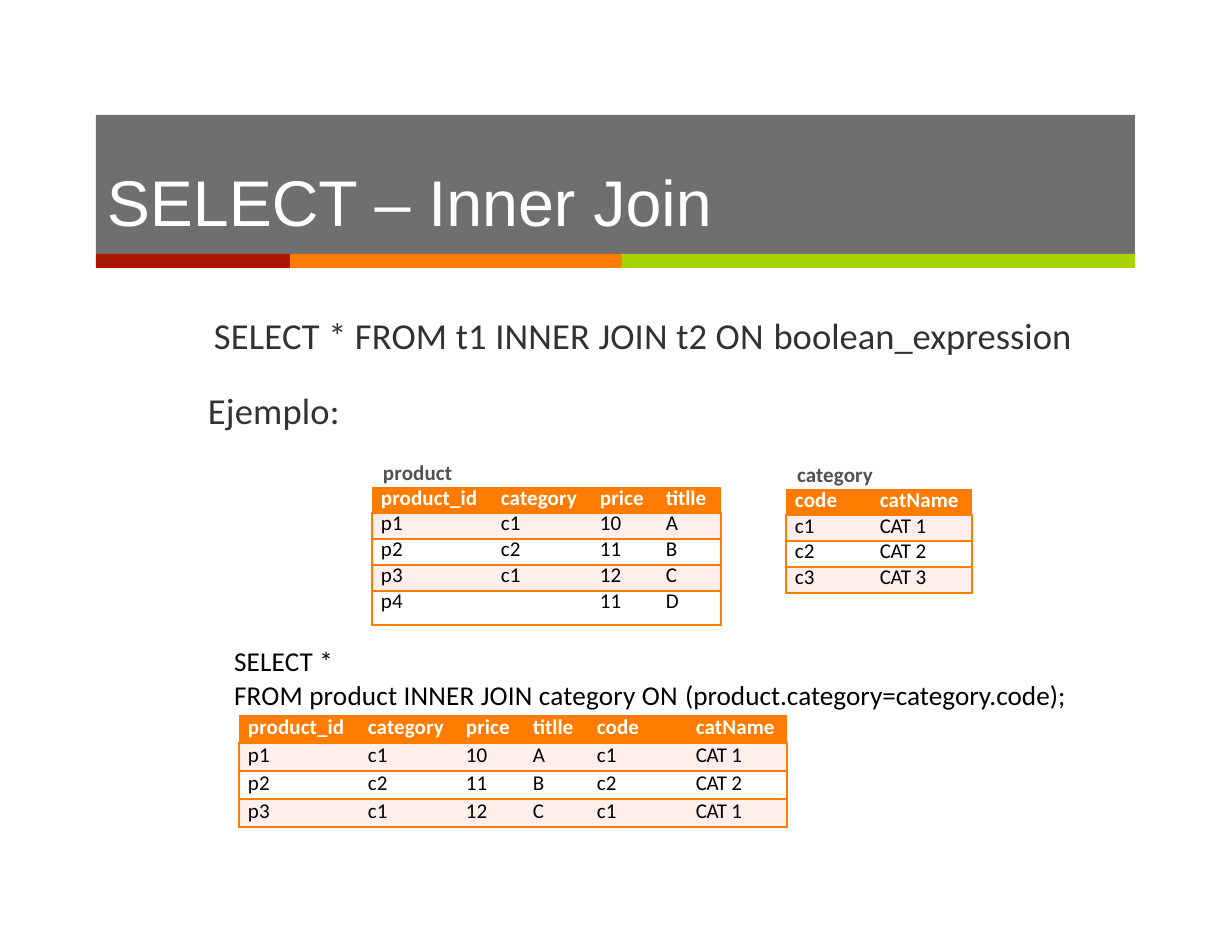
import pptx
import pptx.util
import pptx.dml.color
import pptx.enum.shapes
import pptx.enum.text
import pptx.oxml.ns
import lxml.etree

DPI = 112
ORANGE, PINK, WHITE, BLACK, DARK = "FF7C00", "FFEFEC", "FFFFFF", "000000", "323232"
qn = pptx.oxml.ns.qn


def px(n):
    return pptx.util.Emu(round(n * 914400 / DPI))


def tint(hue):
    return pptx.dml.color.RGBColor.from_string(hue)


def paint(fill, hue):
    fill.solid()
    fill.fore_color.rgb = tint(hue)


def place(shape, box):
    shape.left, shape.top, shape.width, shape.height = map(px, box)


def write(para, runs, size, hue, bold=False, font="Calibri", left=0, gap=0, line=1.0):
    """Fill one paragraph; runs are (text, spacing in 1/100 pt)."""
    para.alignment = pptx.enum.text.PP_ALIGN.LEFT
    para.space_before = pptx.util.Pt(gap)
    para.line_spacing = line
    props = para._p.get_or_add_pPr()
    props.set("marL", str(px(left)))
    props.set("indent", "0")
    lxml.etree.SubElement(props, qn("a:buNone"))
    for text, track in runs:
        run = para.add_run()
        run.text = text
        run.font.size = pptx.util.Pt(size)
        run.font.name = font
        run.font.bold = bold
        run.font.color.rgb = tint(hue)
        run._r.get_or_add_rPr().set("spc", str(track))


def frame(shape, top):
    text = shape.text_frame
    text.word_wrap = True
    text.auto_size = pptx.enum.text.MSO_AUTO_SIZE.NONE
    text.vertical_anchor = pptx.enum.text.MSO_ANCHOR.TOP
    text.margin_left = text.margin_right = text.margin_bottom = 0
    text.margin_top = px(top)
    return text


def label(slide, box, lines, **style):
    """Text box; lines are (runs, gap before)."""
    text = frame(slide.shapes.add_textbox(*map(px, box)), 2)
    for i, (runs, gap) in enumerate(lines):
        para = text.add_paragraph() if i else text.paragraphs[0]
        write(para, runs, gap=gap, left=1, **style)


def banner(slide, box):
    x, y, w, h = box
    # Stripe under the title
    left = x
    for wide, hue in ((194, "AB1700"), (332, ORANGE), (w - 526, "A8D200")):
        bar = slide.shapes.add_shape(pptx.enum.shapes.MSO_SHAPE.RECTANGLE,
                                     px(left), px(y + h), px(wide), px(14))
        bar.shadow.inherit = False
        paint(bar.fill, hue)
        bar.line.fill.background()
        left += wide
    # Title on a translucent band
    title = slide.shapes.title
    place(title, box)
    paint(title.fill, DARK)
    shade = title._element.spPr.find(".//" + qn("a:srgbClr"))
    lxml.etree.SubElement(shade, qn("a:alpha")).set("val", "70000")
    write(frame(title, 47).paragraphs[0], [("SELECT – Inner Join", 0)],
          41.5, WHITE, font="Arial", left=11)


def syntax(slide, box):
    body = slide.placeholders[1]
    place(body, box)
    text = frame(body, 2)
    write(text.paragraphs[0], [("SELECT * FROM t1 INNER JOIN t2 ON ", 10),
                               ("boolean_expression", 0)], 23.5, DARK, left=7, gap=1.2)
    write(text.add_paragraph(), [("Ejemplo:", 10)], 23.5, DARK, left=1, gap=20.3)


def edge(cell, sides):
    """Rule the named sides in orange and clear the others."""
    props = cell._tc.get_or_add_tcPr()
    for side in "LRTB":
        line = lxml.etree.SubElement(props, qn("a:ln" + side))
        if side in sides:
            line.set("w", "12700")
            solid = lxml.etree.SubElement(line, qn("a:solidFill"))
            lxml.etree.SubElement(solid, qn("a:srgbClr")).set("val", ORANGE)
        else:
            lxml.etree.SubElement(line, qn("a:noFill"))


def grid(slide, spot, cols, high, rows, last=11, line=1.0):
    """Table at spot; last is the indent of the final column."""
    x, y = spot
    table = slide.shapes.add_table(len(rows), len(cols), px(x), px(y),
                                   px(sum(cols)), px(high * len(rows))).table
    table.horz_banding = False
    end = len(cols) - 1
    for c, wide in enumerate(cols):
        table.columns[c].width = px(wide)
    for r, row in enumerate(rows):
        table.rows[r].height = px(high)
        for c, value in enumerate(row):
            cell = table.cell(r, c)
            cell.margin_left = cell.margin_right = 0
            cell.margin_top = cell.margin_bottom = 0
            sides = "TB" + "L" * (c == 0) + "R" * (c == end) if r else "B"
            edge(cell, sides)
            if r % 2 or r == 0:
                paint(cell.fill, PINK if r else ORANGE)
            else:
                cell.fill.background()
            if value.startswith("CAT "):
                runs = [("CAT ", -20), (value[4:], 10)]
            else:
                runs = [(value, 0 if c == 3 else 10)] if value else []
            left = 9 if c == 0 else last if c == end else 11
            write(cell.text_frame.paragraphs[0], runs, 13.5, BLACK if r else WHITE,
                  bold=r == 0, left=left, gap=0.3, line=line)


def sample(slide, spot):
    """Two source tables, the query, and the joined result."""
    x, y = spot
    goods = [("product_id", "category", "price", "titlle"),
             ("p1", "c1", "10", "A"), ("p2", "c2", "11", "B"),
             ("p3", "c1", "12", "C"), ("p4", "", "11", "D")]
    kinds = [("code", "catName"), ("c1", "CAT 1"), ("c2", "CAT 2"), ("c3", "CAT 3")]
    join = [goods[0] + kinds[0]]
    join += [g + k for g in goods[1:] for k in kinds[1:] if g[1] == k[0]]

    tight = pptx.util.Pt(15.2)
    grid(slide, (x + 139, y + 29), (118, 99, 66, 66), 26, goods, line=tight)
    grid(slide, (x + 553, y + 31), (73, 113), 26, kinds, last=21, line=tight)
    grid(slide, (x + 6, y + 257), (118, 98, 67, 64, 82, 119), 28, join, last=28)

    # Table names
    name = dict(size=13.5, hue="515151", bold=True)
    label(slide, (x + 149, y, 73, 29),
          [([("p", 10), ("r", -10), ("oduct", 10)], 1.4)], **name)
    label(slide, (x + 563, y + 2, 81, 29), [([("category", 10)], 1.4)], **name)
    # Query
    label(slide, (x, y + 184, 842, 71),
          [([("SELECT *", 10)], 1.3),
           ([("FROM product INNER JOIN category ON", 10),
             (" (product.category=category.code);", 0)], 0.8)], size=17.5, hue=BLACK)


deck = pptx.Presentation()
deck.slide_width, deck.slide_height = px(11 * DPI), px(8.5 * DPI)
slide = deck.slides.add_slide(deck.slide_layouts[1])
banner(slide, (96, 115, 1039, 139))
syntax(slide, (207, 311, 868, 123))
sample(slide, (233, 458))
deck.save("out.pptx")
